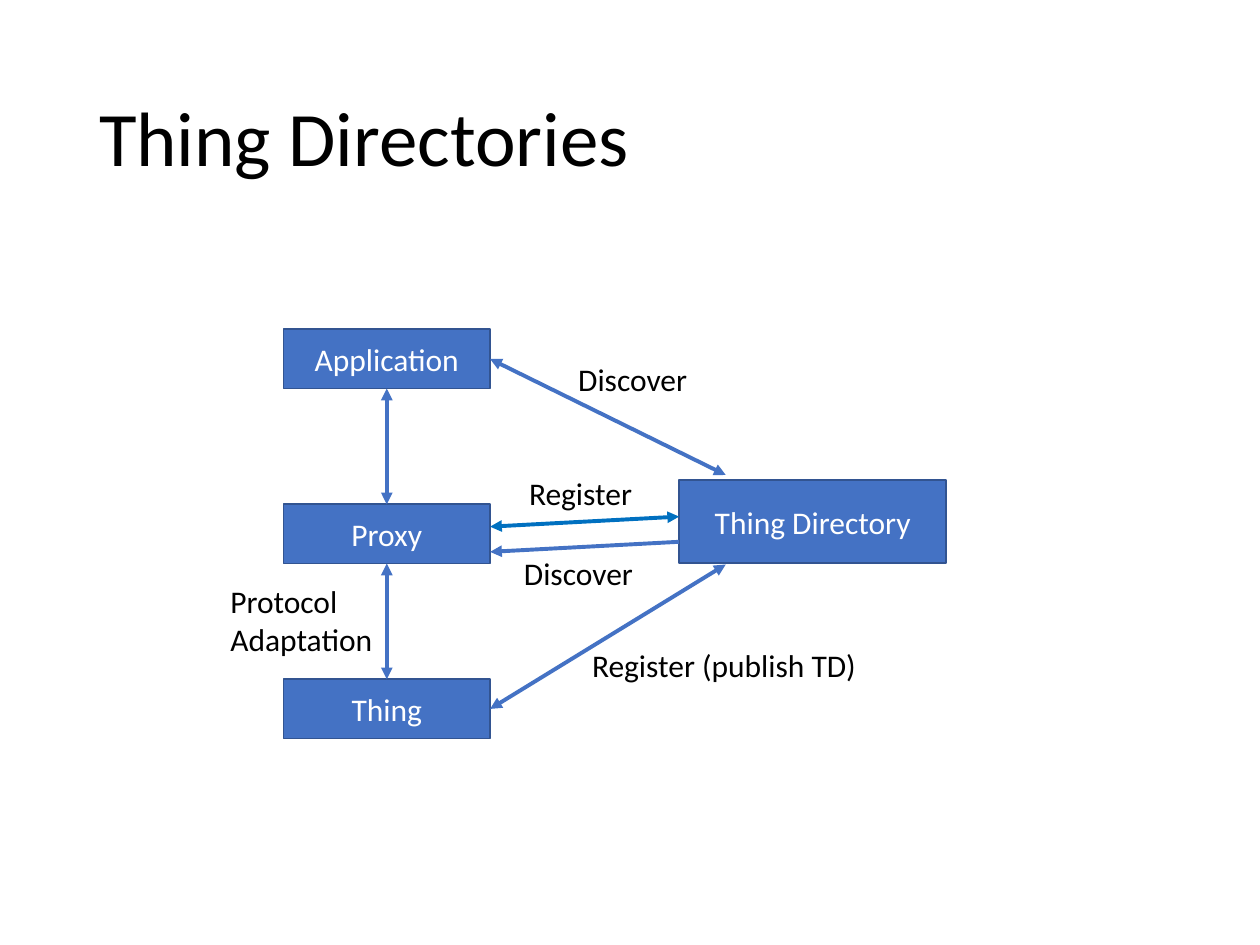
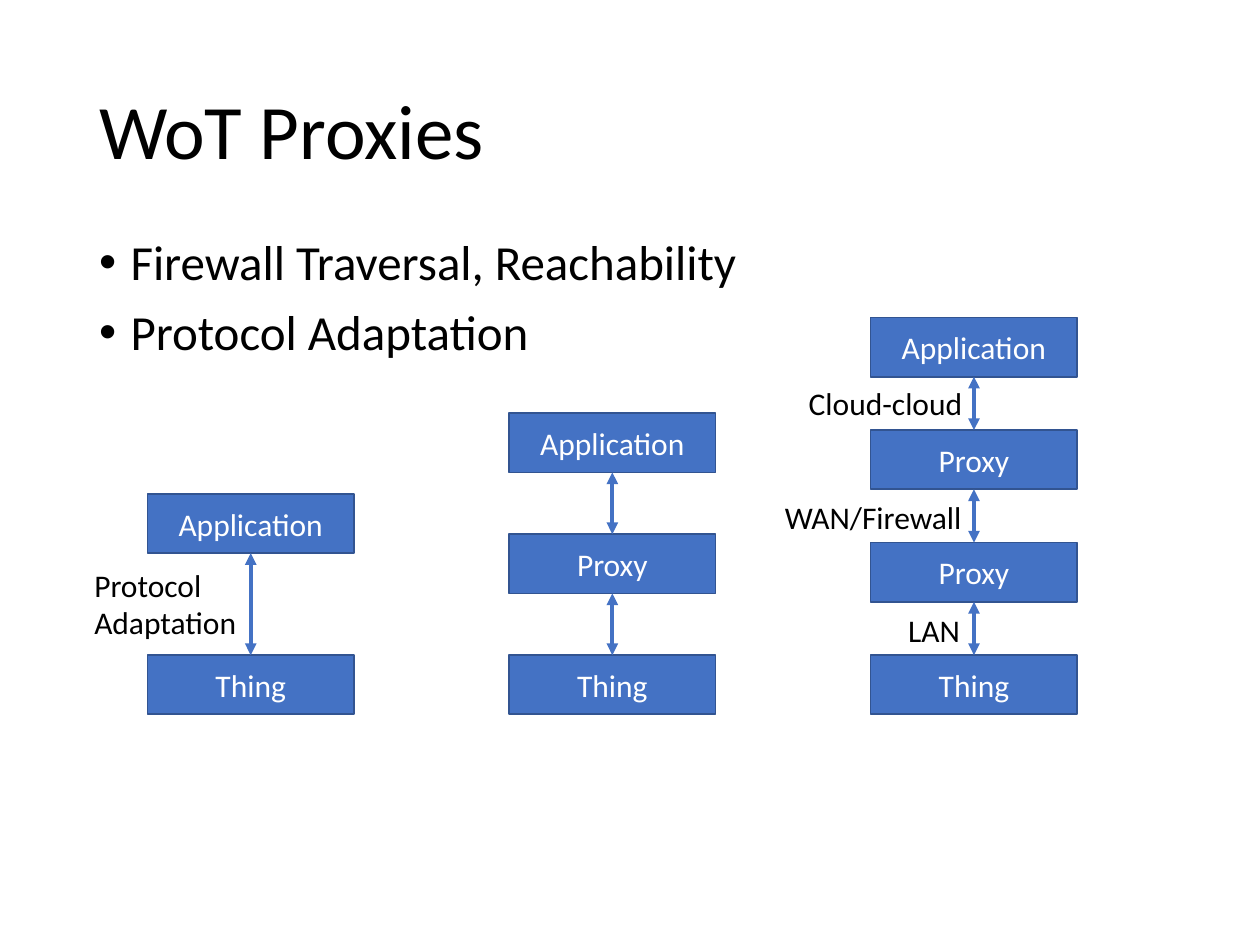
"""Builds two slides on Thing directories and proxies."""
from dataclasses import dataclass
from itertools import pairwise

from lxml import etree
from pptx import Presentation
from pptx.dml.color import RGBColor
from pptx.enum import shapes as es, text as et
from pptx.oxml import ns
from pptx.util import Pt


@dataclass(frozen=True)
class Theme:
    """Colours, font and type sizes."""
    font: str = "Calibri"
    ink: str = "000000"
    paper: str = "FFFFFF"
    fill: str = "4472C4"
    edge: str = "325491"
    accent: str = "0070C0"
    title: int = 44
    body: int = 28
    label: int = 18
    rule: float = 1
    arrow: float = 2.25


@dataclass(frozen=True)
class Area:
    """A rectangle in points."""
    left: float
    top: float
    width: float
    height: float

    def box(self) -> list:
        """Give the four lengths."""
        return [Pt(n) for n in (self.left, self.top, self.width, self.height)]


@dataclass(frozen=True)
class Label:
    """Free text beside an arrow."""
    area: Area
    lines: tuple


@dataclass(frozen=True)
class Stack:
    """A column of boxes at equal steps, listed downward."""
    left: float
    top: float
    step: float
    names: tuple


@dataclass(frozen=True)
class Link:
    """An arrow between two points."""
    start: tuple
    end: tuple
    color: str
    both: bool = True


THEME = Theme()
MARGIN, WIDE = 49.5, 620.64
BOX_W, BOX_H = 118.08, 33.84
BASE = 374.4
RIGHT = 280.08
HUB = Area(388.08, 274.32, 152.64, 47.52)
HUB_X = 414.72


def rgb(code: str) -> RGBColor:
    """Turn a hex code into a colour."""
    return RGBColor.from_string(code)


def style(para, size: int, color: str) -> None:
    """Set the font of a paragraph."""
    font = para.font
    font.name, font.size = THEME.font, Pt(size)
    font.color.rgb = rgb(color)


def add_text(slide, area: Area, lines: tuple, size: int):
    """Add a text box with one paragraph per line."""
    frame = slide.shapes.add_textbox(*area.box()).text_frame
    frame.word_wrap = True
    frame.text = "\n".join(lines)
    for para in frame.paragraphs:
        style(para, size, THEME.ink)
    return frame


def add_title(slide, top: float, text: str) -> None:
    """Add the slide title."""
    frame = add_text(slide, Area(MARGIN, top, WIDE, 104.4), (text,), THEME.title)
    frame.vertical_anchor = et.MSO_ANCHOR.MIDDLE
    frame.paragraphs[0].line_spacing = 0.9


def add_list(slide, area: Area, items: tuple) -> None:
    """Add a bulleted list."""
    frame = slide.shapes.add_textbox(*area.box()).text_frame
    frame.word_wrap = True
    frame.text = "\n".join(items)
    for i, para in enumerate(frame.paragraphs):
        para.line_spacing = 0.9
        para.space_before = Pt(10 if i else 0)
        props = para._p.get_or_add_pPr()
        props.set("marL", str(Pt(18)))
        props.set("indent", str(Pt(-18)))
        font = etree.SubElement(props, ns.qn("a:buFont"))
        font.set("typeface", "Arial")
        etree.SubElement(props, ns.qn("a:buChar")).set("char", "•")
        style(para, THEME.body, THEME.ink)


def add_label(slide, label: Label) -> None:
    """Add an unwrapped label."""
    frame = add_text(slide, label.area, label.lines, THEME.label)
    frame.word_wrap = False
    frame.auto_size = et.MSO_AUTO_SIZE.SHAPE_TO_FIT_TEXT


def add_box(slide, area: Area, name: str):
    """Add a filled, named rectangle."""
    shape = slide.shapes.add_shape(es.MSO_SHAPE.RECTANGLE, *area.box())
    shape.shadow.inherit = False
    shape.fill.solid()
    shape.fill.fore_color.rgb = rgb(THEME.fill)
    shape.line.color.rgb = rgb(THEME.edge)
    shape.line.width = Pt(THEME.rule)
    frame = shape.text_frame
    frame.text = name
    frame.vertical_anchor = et.MSO_ANCHOR.MIDDLE
    para = frame.paragraphs[0]
    para.alignment = et.PP_ALIGN.CENTER
    style(para, THEME.label, THEME.paper)
    return shape


def add_link(slide, link: Link):
    """Add an arrow with one or two heads."""
    ends = [Pt(n) for n in (*link.start, *link.end)]
    line = slide.shapes.add_connector(es.MSO_CONNECTOR.STRAIGHT, *ends)
    line.line.color.rgb = rgb(link.color)
    line.line.width = Pt(THEME.arrow)
    stroke = line.line._get_or_add_ln()
    for tag in ("a:headEnd", "a:tailEnd") if link.both else ("a:tailEnd",):
        etree.SubElement(stroke, ns.qn(tag)).set("type", "triangle")
    etree.SubElement(line._element.spPr, ns.qn("a:effectLst"))
    return line


def add_stack(slide, stack: Stack) -> list:
    """Add a column of boxes joined by arrows."""
    boxes = [
        add_box(slide, Area(stack.left, stack.top + i * stack.step, BOX_W, BOX_H), name)
        for i, name in enumerate(stack.names)
    ]
    for upper, lower in pairwise(boxes):
        line = add_link(slide, Link((0, 0), (0, 0), THEME.fill))
        line.begin_connect(upper, 2)
        line.end_connect(lower, 0)
    return boxes


def add_directories(slide) -> None:
    """Draw the directory slide."""
    add_title(slide, 28.8, "Thing Directories")
    add_box(slide, HUB, "Thing Directory")
    names = ("Application", "Proxy", "Thing")
    app, _, thing = add_stack(slide, Stack(162, 188.2, 100, names))
    for y, box in ((271.44, app), (322.56, thing)):
        line = add_link(slide, Link((HUB_X, y), (RIGHT, y), THEME.fill))
        line.end_connect(box, 3)
    for y, color, both in ((295.2, THEME.accent, True), (309.6, THEME.fill, False)):
        add_link(slide, Link((HUB.left, y), (RIGHT, y + 5.76), color, both))
    for label in (
        Label(Area(124.56, 329.04, 96.48, 51.12), ("Protocol", "Adaptation")),
        Label(Area(331.2, 365.76, 167.04, 28.8), ("Register (publish TD)",)),
        Label(Area(295.2, 267.12, 78.48, 28.8), ("Register",)),
        Label(Area(292.32, 313.2, 77.76, 28.8), ("Discover",)),
        Label(Area(323.28, 202.32, 77.76, 28.8), ("Discover",)),
    ):
        add_label(slide, label)


def add_proxies(slide) -> None:
    """Draw the proxy slide."""
    add_title(slide, 24.48, "WoT Proxies")
    add_list(slide, Area(MARGIN, 132.48, WIDE, 342.72),
             ("Firewall Traversal, Reachability", "Protocol Adaptation"))
    for i, step in enumerate((92.16, 69.12, 64.32)):
        names = ("Application", *["Proxy"] * i, "Thing")
        top = BASE - step * (i + 1)
        add_stack(slide, Stack(84.24 + 206.64 * i, top, step, names))
    for label in (
        Label(Area(511.92, 345.6, 44.64, 28.8), ("LAN",)),
        Label(Area(441.36, 280.8, 116.64, 28.8), ("WAN/Firewall",)),
        Label(Area(455.04, 216, 103.68, 28.8), ("Cloud-cloud",)),
        Label(Area(46.8, 319.68, 96.48, 51.12), ("Protocol", "Adaptation")),
    ):
        add_label(slide, label)


def main() -> None:
    """Build and save the deck."""
    deck = Presentation()
    deck.slide_width, deck.slide_height = Pt(720), Pt(540)
    for draw in (add_directories, add_proxies):
        draw(deck.slides.add_slide(deck.slide_layouts[6]))
    deck.save("out.pptx")


if __name__ == "__main__":
    main()
